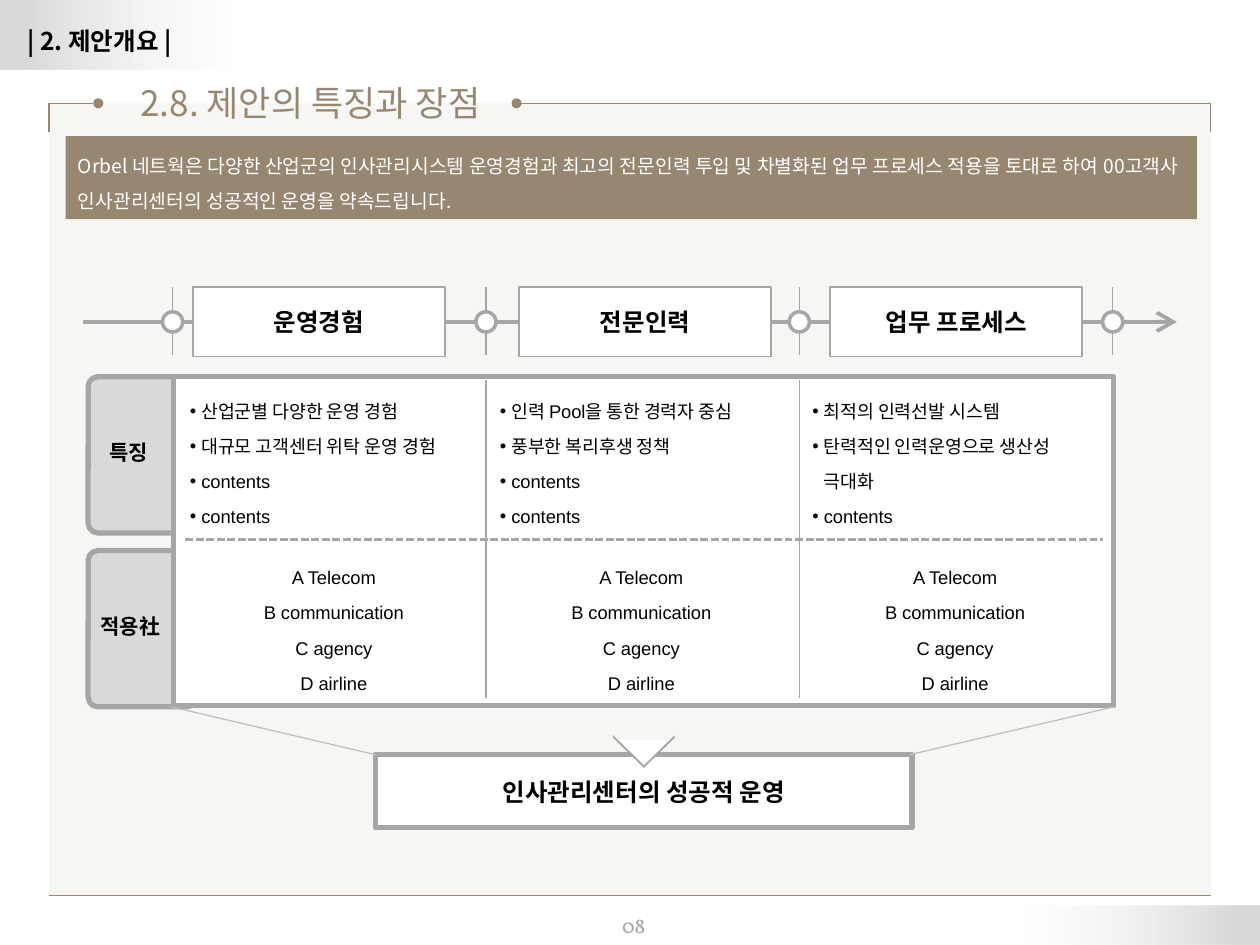
from lxml import etree
from pptx import Presentation
from pptx.dml.color import RGBColor
from pptx.enum.dml import MSO_LINE
from pptx.enum.shapes import MSO_CONNECTOR, MSO_SHAPE
from pptx.enum.text import MSO_ANCHOR, PP_ALIGN
from pptx.oxml.ns import qn
from pptx.util import Inches, Pt

RECTANGLE, ROUNDED = MSO_SHAPE.RECTANGLE, MSO_SHAPE.ROUNDED_RECTANGLE
OVAL, CHEVRON = MSO_SHAPE.OVAL, MSO_SHAPE.CHEVRON
STRAIGHT, DASH = MSO_CONNECTOR.STRAIGHT, MSO_LINE.SQUARE_DOT
LEFT, CENTER = PP_ALIGN.LEFT, PP_ALIGN.CENTER
TOP, MIDDLE = MSO_ANCHOR.TOP, MSO_ANCHOR.MIDDLE

KOREAN, LATIN, NUMERAL = "Noto Sans CJK KR", "Arial", "Vollkorn"
COLORS = {
    "panel": "F8F6F2", "brown": "978771", "white": "FFFFFF", "black": "000000",
    "gray": "A6A6A6", "light": "BFBFBF", "tab": "D9D9D9", "fade": "F2F2F2", "page": "99A5AC",
}

SECTION = "| 2. 제안개요 |"
TITLE = "2.8. 제안의 특징과 장점"
SUMMARY = ("Orbel 네트웍은 다양한 산업군의 인사관리시스템 운영경험과 최고의 전문인력 투입 및 "
           "차별화된 업무 프로세스 적용을 토대로 하여 00고객사 인사관리센터의 성공적인 운영을 약속드립니다.")
PAGE = "08"
RESULT = "인사관리센터의 성공적 운영"
ROWS = [("특징", 0.77, 0.54), ("적용社", 0.7, 0.71)]
CLIENTS = ["A Telecom", "B communication", "C agency", "D airline"]
CONTINUED = "극대화"
COLUMNS = [
    {"name": "운영경험", "header": 1.53, "features": 1.41, "clients": 1.86,
     "items": ["산업군별 다양한 운영 경험", "대규모 고객센터 위탁 운영 경험", "contents", "contents"]},
    {"name": "전문인력", "header": 4.12, "features": 3.87, "clients": 4.3,
     "items": ["인력 Pool을 통한 경력자 중심", "풍부한 복리후생 정책", "contents", "contents"]},
    {"name": "업무 프로세스", "header": 6.59, "features": 6.35, "clients": 6.79,
     "items": ["최적의 인력선발 시스템", "탄력적인 인력운영으로 생산성", CONTINUED, "contents"]},
]
NODE_START, NODE_STEP, AXIS_Y = 1.37, 2.487, 2.555
NODES = [NODE_START + NODE_STEP * i for i in range(4)]
BULLET_INDENT = 0.09

presentation = Presentation()
presentation.slide_width, presentation.slide_height = Inches(10), Inches(7.5)
slide = presentation.slides.add_slide(presentation.slide_layouts[6])


def rgb(color):
    return RGBColor.from_string(COLORS[color])


def add_block(kind, left, top, width, height, fill, line=None, weight=1):
    shape = slide.shapes.add_shape(kind, Inches(left), Inches(top), Inches(width), Inches(height))
    shape.shadow.inherit = False
    shape.fill.solid()
    shape.fill.fore_color.rgb = rgb(fill)
    if line:
        shape.line.color.rgb = rgb(line)
        shape.line.width = Pt(weight)
    else:
        shape.line.fill.background()
    return shape


def add_line(start, end, color, weight=0.75):
    points = [Inches(value) for value in (*start, *end)]
    connector = slide.shapes.add_connector(STRAIGHT, *points)
    connector.line.color.rgb = rgb(color)
    connector.line.width = Pt(weight)
    etree.SubElement(connector._element.spPr, qn("a:effectLst"))
    return connector


def write(shape, lines, size, font=KOREAN, color="black", bold=False, align=LEFT,
          spacing=1.0, anchor=TOP, wrap=True, bullets=False):
    frame = shape.text_frame
    frame.word_wrap = wrap
    frame.vertical_anchor = anchor
    for index, line in enumerate(lines):
        paragraph = frame.paragraphs[0] if index == 0 else frame.add_paragraph()
        paragraph.text = line
        paragraph.alignment = align
        paragraph.line_spacing = spacing
        properties = paragraph._p.get_or_add_pPr()
        if bullets:
            properties.set("marL", str(Inches(BULLET_INDENT)))
            properties.set("indent", "0" if line == CONTINUED else str(-Inches(BULLET_INDENT)))
            if line != CONTINUED:
                etree.SubElement(properties, qn("a:buFont"), typeface=LATIN)
                etree.SubElement(properties, qn("a:buChar"), char="•")
        paragraph.font.name = font
        paragraph.font.size = Pt(size)
        paragraph.font.bold = bold
        paragraph.font.color.rgb = rgb(color)
        etree.SubElement(properties.find(qn("a:defRPr")), qn("a:ea"), typeface=KOREAN)


def add_text(left, top, width, height, lines, size, **style):
    box = slide.shapes.add_textbox(Inches(left), Inches(top), Inches(width), Inches(height))
    write(box, lines, size, **style)


def add_band(top, height, flipped=False):
    band = add_block(RECTANGLE, 0, top, 10, height, "white")
    band.fill.gradient()
    band.fill.gradient_angle = 0
    stops = band._element.spPr.find(qn("a:gradFill")).find(qn("a:gsLst"))
    for stop in list(stops):
        stops.remove(stop)
    for position, color, opaque in ((2, "tab", True), (19, "fade", False), (100, "white", False)):
        stop = etree.SubElement(stops, qn("a:gs"), pos=str(position * 1000))
        tint = etree.SubElement(stop, qn("a:srgbClr"), val=COLORS[color])
        if not opaque:
            etree.SubElement(tint, qn("a:alpha"), val="0")
    if flipped:
        band._element.spPr.xfrm.set("flipH", "1")


def draw_frame():
    add_block(RECTANGLE, 0.39, 0.82, 9.22, 6.29, "panel")
    add_text(0.88, 0.6, 3.17, 0.44, [TITLE], 20, color="brown", align=CENTER, wrap=False)
    for start, end in (((4.1, 0.82), (9.61, 0.82)), ((0.39, 0.82), (0.74, 0.82)),
                       ((0.39, 0.82), (0.39, 1.05)), ((9.61, 0.82), (9.61, 1.05)),
                       ((0.39, 7.11), (9.61, 7.11))):
        add_line(start, end, "brown")
    for left in (0.74, 4.06):
        add_block(OVAL, left, 0.78, 0.08, 0.08, "brown")
    summary = add_block(RECTANGLE, 0.52, 1.08, 8.98, 0.66, "brown")
    write(summary, [SUMMARY], 11, color="white", spacing=1.5, anchor=MIDDLE)
    add_band(0, 0.55)
    add_band(7.19, 0.31, flipped=True)
    add_text(4.63, 7.19, 0.8, 0.3, [PAGE], 12, font=NUMERAL, color="page", align=CENTER)
    add_text(0.02, 0.04, 1.54, 0.41, [SECTION], 14, bold=True, align=CENTER, spacing=1.5)


def draw_timeline():
    axis = add_line((0.66, AXIS_Y), (9.34, AXIS_Y), "gray", 2.25)
    etree.SubElement(axis.line._get_or_add_ln(), qn("a:tailEnd"), type="arrow", w="lg", len="lg")
    for x in NODES:
        add_line((x, 2.28), (x, 2.82), "gray")
        add_block(OVAL, x - 0.08, AXIS_Y - 0.08, 0.16, 0.16, "white", "gray", 2)
    for column in COLUMNS:
        header = add_block(RECTANGLE, column["header"], 2.28, 2, 0.55, "white", "gray")
        write(header, [column["name"]], 14, bold=True, align=CENTER, anchor=MIDDLE)


def draw_matrix():
    for index, (label, left, width) in enumerate(ROWS):
        top = 2.99 + 1.38 * index
        tab = add_block(ROUNDED, 0.7, top, 0.86, 1.24, "tab", "gray", 3)
        tab.adjustments[0] = 0.09
        add_text(left, top + 0.45, width, 0.3, [label], 12, bold=True, wrap=False)
    add_block(RECTANGLE, 1.38, 2.99, 7.46, 2.61, "white", "gray", 3)
    for x in NODES[1:3]:
        add_line((x, 3.02), (x, 5.54), "gray")
    for column in COLUMNS:
        add_text(column["features"], 3.02, 2.46, 1.22, column["items"], 10.5,
                 font=LATIN, spacing=1.6, bullets=True)
        add_text(column["clients"], 4.34, 1.58, 1.22, CLIENTS, 10.5,
                 font=LATIN, spacing=1.6, align=CENTER)
    add_line((1.47, 4.28), (8.75, 4.28), "gray", 1.5).line.dash_style = DASH


def draw_result():
    result = add_block(RECTANGLE, 2.98, 5.99, 4.26, 0.58, "white", "gray", 3)
    write(result, [RESULT], 14, bold=True, align=CENTER, anchor=MIDDLE)
    builder = slide.shapes.build_freeform(Inches(4.89), Inches(5.87))
    builder.add_line_segments([(Inches(5.33), Inches(5.87)), (Inches(5.11), Inches(6.09))])
    notch = builder.convert_to_shape()
    notch.shadow.inherit = False
    notch.fill.solid()
    notch.fill.fore_color.rgb = rgb("white")
    notch.line.fill.background()
    pointer = add_block(CHEVRON, 4.98, 5.72, 0.26, 0.49, "gray")
    pointer.adjustments[0] = 0.92
    pointer.rotation = 90
    add_line((7.22, 5.99), (8.84, 5.61), "light")
    add_line((2.98, 5.99), (1.36, 5.61), "light")


draw_frame()
draw_timeline()
draw_matrix()
draw_result()
presentation.save("out.pptx")
